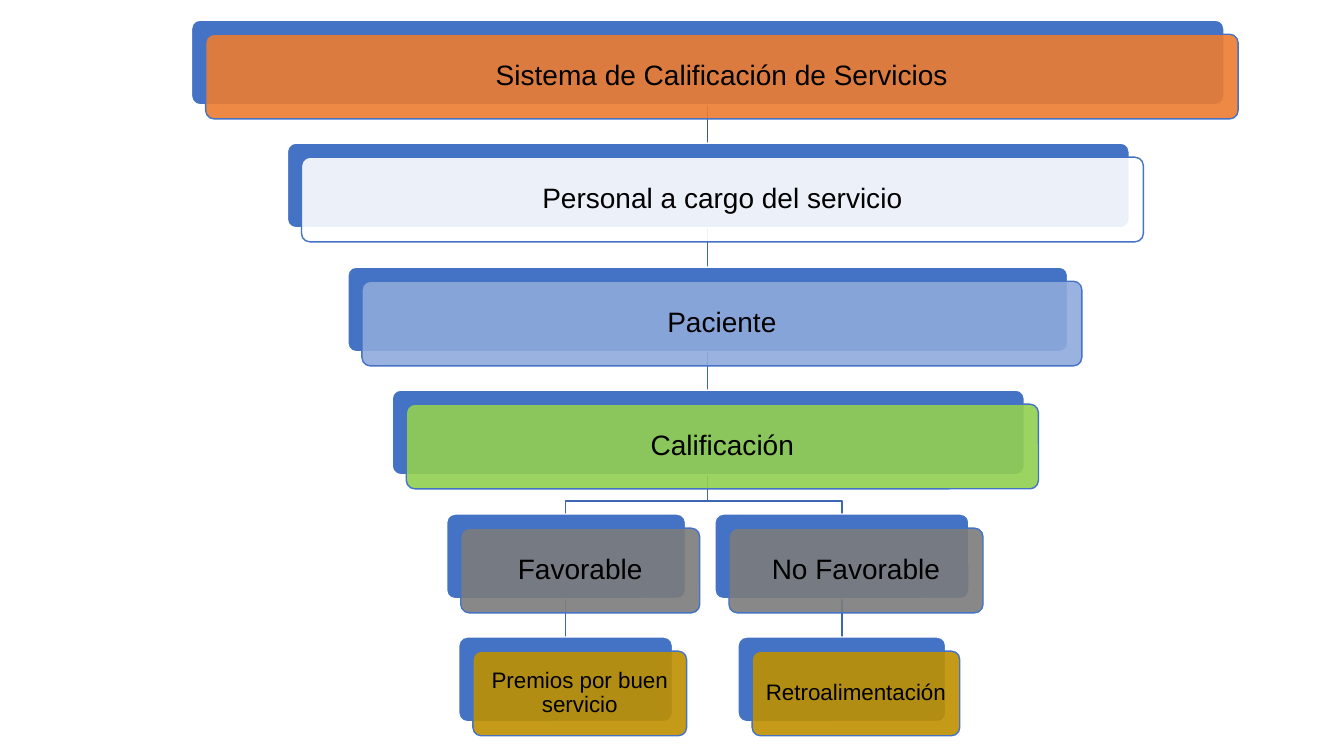
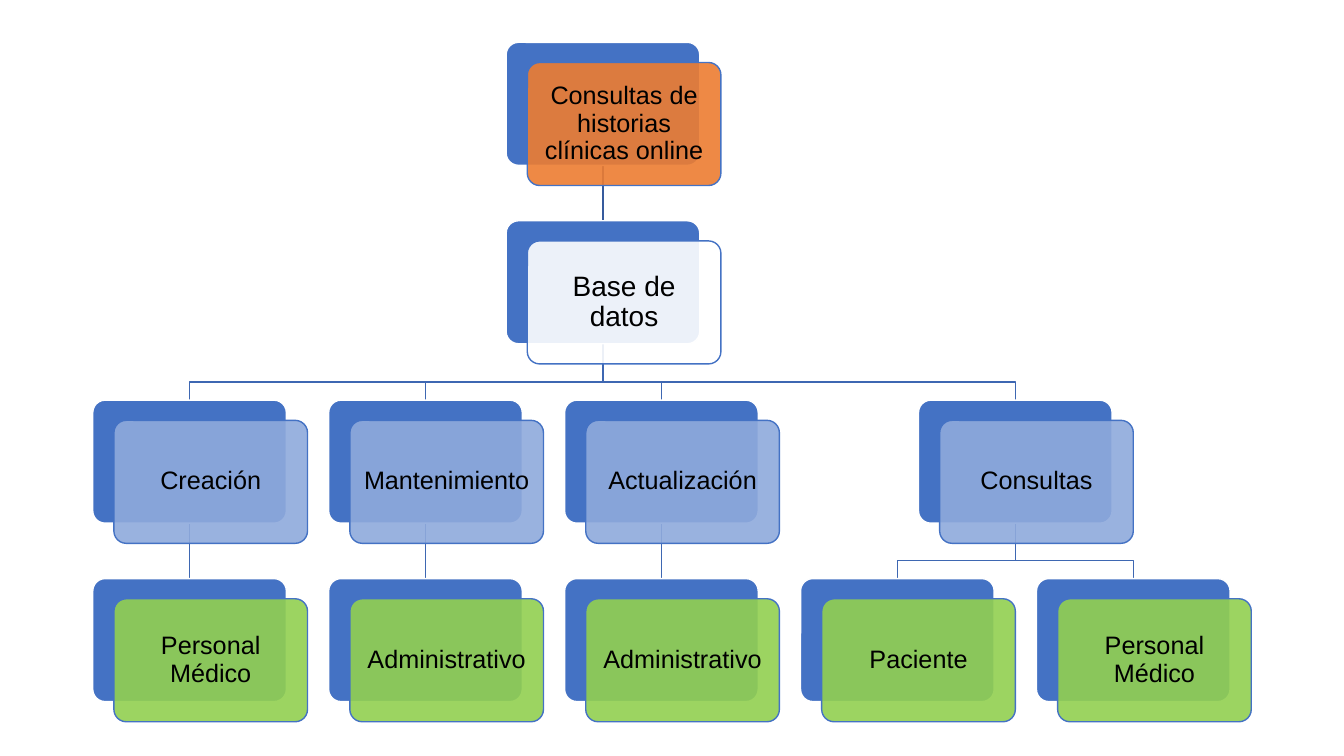
import pptx
import pptx.dml.color
import pptx.enum.shapes
import pptx.enum.text
import pptx.oxml
import pptx.oxml.ns
import pptx.util

PX = 9144  # EMU in one px, 100 px to the inch
HUES = {
    "blue": "4472C4", "white": "FFFFFF", "black": "000000",
    "orange": "ED7D31", "sky": "8FAADC", "green": "92D050",
    "gray": "7C7C7C", "gold": "BF9000",
    "stem": "365B9D", "wire": "3E67B2",
}
FRAME = {
    "word_wrap": True,
    "vertical_anchor": pptx.enum.text.MSO_ANCHOR.MIDDLE,
    **{f"margin_{side}": 7 * PX for side in ("left", "top", "right", "bottom")},
}
PARA = {"alignment": pptx.enum.text.PP_ALIGN.CENTER, "line_spacing": 0.9}

# Rows: fill of each level, from the top down
LEVELS = ["orange", "white", "sky", "green", "gray", "gold"]

# Layout of each chart; two rows make one step
# Nodes: text, row, middle x, width, parent's place in the list, text size
CHARTS = [
    {
        "top": 20, "step": 245, "high": 84, "shift": (14, 14), "bend": 13,
        "nodes": [
            ("Sistema de Calificación de Servicios", 0, 702, 1024, None, 20),
            ("Personal a cargo del servicio", 1, 702, 835, 0, 20),
            ("Paciente", 2, 702, 714, 1, 20),
            ("Calificación", 3, 702, 627, 2, 20),
            ("Favorable", 4, 561, 237, 3, 20),
            ("Premios por buen servicio", 5, 561, 212, 4, 16),
            ("No Favorable", 4, 835, 252, 3, 20),
            ("Retroalimentación", 5, 835, 206, 6, 16),
        ],
    },
    {
        "top": 42, "step": 355, "high": 122, "shift": (21, 20), "bend": 18,
        "nodes": [
            ("Consultas de historias clínicas online", 0, 598, 192, None, 18),
            ("Base de datos", 1, 598, 192, 0, 20),
            ("Creación", 2, 188, 192, 1, 18),
            ("Personal Médico", 3, 188, 192, 2, 18),
            ("Mantenimiento", 2, 422, 192, 1, 18),
            ("Administrativo", 3, 422, 192, 4, 18),
            ("Actualización", 2, 656, 192, 1, 18),
            ("Administrativo", 3, 656, 192, 6, 18),
            ("Consultas", 2, 1007, 192, 1, 18),
            ("Paciente", 3, 890, 192, 8, 18),
            ("Personal Médico", 3, 1124, 192, 8, 18),
        ],
    },
]


def assign(thing, values):
    for name, value in values.items():
        setattr(thing, name, value)


def color(name):
    return pptx.dml.color.RGBColor.from_string(HUES[name])


class Deck:
    def __init__(self):
        self.show = pptx.Presentation()
        assign(self.show, {"slide_width": 1333 * PX, "slide_height": 750 * PX})
        self.slide = None

    def page(self):
        self.slide = self.show.slides.add_slide(self.show.slide_layouts[6])

    def stroke(self, line, hue):
        line.color.rgb = color(hue)
        line.width = pptx.util.Pt(1)

    # Rounded box, opaque unless alpha is given
    def box(self, left, top, wide, high, fill, edge, alpha=None):
        kind = pptx.enum.shapes.MSO_SHAPE.ROUNDED_RECTANGLE
        shape = self.slide.shapes.add_shape(
            kind, *(PX * n for n in (left, top, wide, high)))
        shape.adjustments[0] = 0.1
        shape.shadow.inherit = False
        shape.fill.solid()
        shape.fill.fore_color.rgb = color(fill)
        self.stroke(shape.line, edge)
        if alpha:
            tone = shape.fill._xPr.find(".//" + pptx.oxml.ns.qn("a:srgbClr"))
            mark = pptx.oxml.parse_xml(
                f'<a:alpha {pptx.oxml.ns.nsdecls("a")} val="{alpha * 1000}"/>')
            tone.append(mark)
        return shape

    # Centred label inside a box
    def label(self, shape, text, size):
        frame = shape.text_frame
        assign(frame, FRAME)
        para = frame.paragraphs[0]
        assign(para, PARA)
        run = para.add_run()
        run.text = text
        assign(run.font, {"name": "Arial", "size": pptx.util.Pt(size)})
        run.font.color.rgb = color("black")

    # Straight line, or an elbow when the ends are not in one column
    def wire(self, start, end, bend, hue):
        shapes = self.slide.shapes
        if start[0] == end[0]:
            kind = pptx.enum.shapes.MSO_CONNECTOR.STRAIGHT
            line = shapes.add_connector(kind, *(PX * n for n in start + end))
            line._element.spPr.append(
                pptx.oxml.parse_xml(f'<a:effectLst {pptx.oxml.ns.nsdecls("a")}/>'))
        else:
            turn = end[1] - bend
            path = shapes.build_freeform(*start, scale=PX)
            path.add_line_segments(
                [(start[0], turn), (end[0], turn), end], close=False)
            line = path.convert_to_shape()
            line.fill.background()
            line.shadow.inherit = False
        self.stroke(line.line, hue)

    # Card: solid back box and a see-through front box with the label
    def card(self, left, top, wide, high, shift, fill, text, size):
        self.box(left, top, wide, high, "blue", "white")
        front = self.box(left + shift[0], top + shift[1], wide, high,
                         fill, "blue", 90)
        self.label(front, text, size)

    def chart(self, top, step, high, shift, bend, nodes):
        tops = [top + row * step // 2 for row in range(len(LEVELS))]
        # Wires lie behind the cards
        for _, row, mid, _, up, _ in nodes:
            if up is not None:
                _, above, base, *_ = nodes[up]
                self.wire((base, tops[above] + high), (mid, tops[row]), bend,
                          "wire" if above else "stem")
        for text, row, mid, wide, _, size in nodes:
            self.card(mid - wide // 2, tops[row], wide, high, shift,
                      LEVELS[row], text, size)


def main():
    deck = Deck()
    for chart in CHARTS:
        deck.page()
        deck.chart(**chart)
    deck.show.save("out.pptx")


if __name__ == "__main__":
    main()
